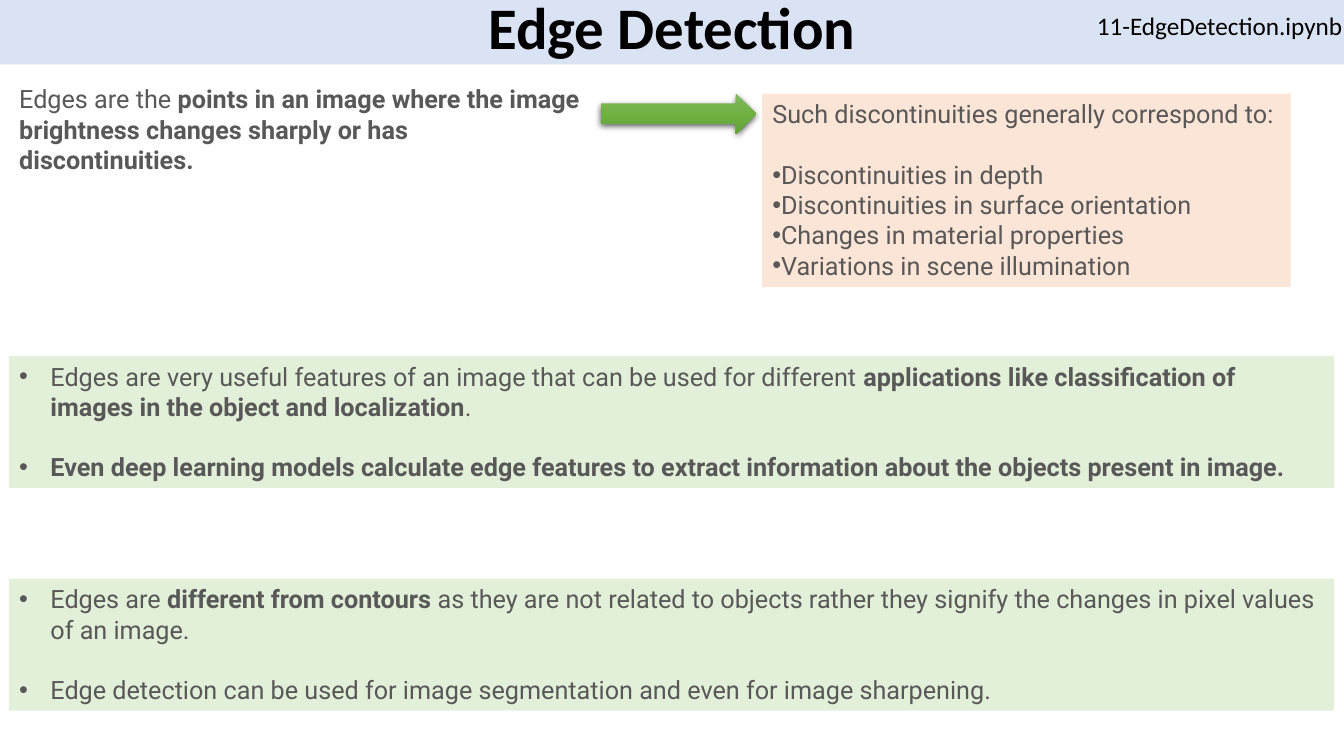
import copy
from dataclasses import dataclass

import lxml.etree
import pptx
import pptx.dml.color
import pptx.enum.shapes
import pptx.enum.text
import pptx.oxml.ns
import pptx.shapes.base
import pptx.slide
import pptx.util

RGBColor = pptx.dml.color.RGBColor
Inches = pptx.util.Inches
Pt = pptx.util.Pt
qn = pptx.oxml.ns.qn
Anchor = pptx.enum.text.MSO_ANCHOR
Align = pptx.enum.text.PP_ALIGN
Shape = pptx.shapes.base.BaseShape

BLACK = RGBColor(0x00, 0x00, 0x00)
GRAY = RGBColor(0x59, 0x58, 0x58)
BLUE = RGBColor(0xDA, 0xE3, 0xF3)
PEACH = RGBColor(0xFB, 0xE5, 0xD6)
GREEN = RGBColor(0xE2, 0xF0, 0xD9)
SHADES = (
    RGBColor(0x81, 0xB8, 0x61),
    RGBColor(0x6F, 0xB2, 0x42),
    RGBColor(0x62, 0xA3, 0x36),
)
GAP = 21.6  # one line of body text, in points


@dataclass
class Para:
    text: str  # **marks** enclose bold words
    bullet: bool = True
    before: float = 0


@dataclass
class Panel:
    slot: int  # placeholder index in the layout
    box: tuple[float, float, float, float]
    paras: list[Para]
    fill: RGBColor | None = None
    indent: float = 0


PANELS = [
    Panel(1, (0.09, 0.78, 5.8, 0.71), [
        Para("Edges are the **points in an image where the image brightness "
             "changes sharply or has discontinuities.**", bullet=False),
    ]),
    Panel(2, (7.56, 0.93, 5.24, 1.92), [
        Para("Such discontinuities generally correspond to:", bullet=False),
        Para("Discontinuities in depth", before=GAP),
        Para("Discontinuities in surface orientation"),
        Para("Changes in material properties"),
        Para("Variations in scene illumination"),
    ], PEACH),
    Panel(3, (0.09, 3.53, 13.14, 1.31), [
        Para("Edges are very useful features of an image that can be used for "
             "different **applications like classification of images in the "
             "object and localization**."),
        Para("**Even deep learning models calculate edge features to extract "
             "information about the objects present in image.**", before=GAP),
    ], GREEN, 0.31),
    Panel(4, (0.09, 5.74, 13.14, 1.31), [
        Para("Edges are **different from contours **as they are not related to "
             "objects rather they signify the changes in pixel values of an "
             "image."),
        Para("Edge detection can be used for image segmentation and even for "
             "image sharpening.", before=GAP),
    ], GREEN, 0.31),
]


def place(shape: Shape, box: tuple[float, float, float, float]) -> None:
    shape.left, shape.top, shape.width, shape.height = map(Inches, box)


def write(shape: Shape, paras: list[Para], *, size: float = 18,
          font: str = "Roboto", color: RGBColor = GRAY, bold: bool = False,
          align: Align = Align.LEFT, anchor: Anchor = Anchor.TOP,
          lead: float = 1.0, indent: float = 0, wrap: bool = True) -> None:
    frame = shape.text_frame
    frame.auto_size = pptx.enum.text.MSO_AUTO_SIZE.NONE
    frame.word_wrap = wrap
    frame.vertical_anchor = anchor
    for num, item in enumerate(paras):
        para = frame.add_paragraph() if num else frame.paragraphs[0]
        props = para._p.get_or_add_pPr()
        step = Inches(indent) if item.bullet else 0
        props.set("marL", str(step))
        props.set("indent", str(-step))
        if item.bullet:
            mark = lxml.etree.SubElement(props, qn("a:buChar"))
            mark.set("char", "•")
        else:
            lxml.etree.SubElement(props, qn("a:buNone"))
        para.alignment = align
        para.line_spacing = lead
        para.space_before = Pt(item.before)
        para.space_after = Pt(0)
        for part, words in enumerate(item.text.split("**")):
            if words:
                run = para.add_run()
                run.text = words
                run.font.name = font
                run.font.size = Pt(size)
                run.font.bold = bold or part % 2 == 1
                run.font.color.rgb = color


def paint(shape: Shape, color: RGBColor) -> None:
    shape.fill.solid()
    shape.fill.fore_color.rgb = color


def add_arrow(slide: pptx.slide.Slide) -> None:
    kind = pptx.enum.shapes.MSO_SHAPE.RIGHT_ARROW
    arrow = slide.shapes.add_shape(
        kind, *map(Inches, (5.96, 0.93, 1.54, 0.4)))
    arrow.line.fill.background()
    arrow.fill.gradient()
    arrow.fill.gradient_angle = 270
    props = arrow._element.spPr
    stops = props.find(".//" + qn("a:gsLst"))
    stops.insert(1, copy.deepcopy(stops[0]))
    for num, (stop, shade) in enumerate(zip(arrow.fill.gradient_stops, SHADES)):
        stop.position = num / 2
        stop.color.rgb = shade

    # Soft shadow below the arrow
    arrow.shadow.inherit = False
    glow = lxml.etree.SubElement(
        props.find(qn("a:effectLst")), qn("a:outerShdw"),
        blurRad=str(Pt(4.5)), dist=str(Pt(1.5)), dir="5400000",
        algn="ctr", rotWithShape="0")
    tint = lxml.etree.SubElement(glow, qn("a:srgbClr"), val="000000")
    lxml.etree.SubElement(tint, qn("a:alpha"), val="63000")


def main() -> None:
    deck = pptx.Presentation()
    deck.slide_width = Inches(13.33)
    deck.slide_height = Inches(7.5)
    slide = deck.slides.add_slide(deck.slide_layouts.get_by_name("Comparison"))

    # Title band
    title = slide.shapes.title
    place(title, (0, 0, 13.33, 0.64))
    paint(title, BLUE)
    write(title, [Para("Edge Detection", bullet=False)], size=42,
          font="Calibri", color=BLACK, bold=True, align=Align.CENTER,
          anchor=Anchor.BOTTOM, lead=0.7)

    # Text panels
    slots = {holder.placeholder_format.idx: holder
             for holder in slide.placeholders}
    for panel in PANELS:
        body = slots[panel.slot]
        place(body, panel.box)
        if panel.fill is not None:
            paint(body, panel.fill)
        write(body, panel.paras, indent=panel.indent)

    # Arrow from the definition to its causes
    add_arrow(slide)

    # Notebook name
    label = slide.shapes.add_textbox(*map(Inches, (10.78, 0.05, 2.67, 0.4)))
    write(label, [Para("11-EdgeDetection.ipynb", bullet=False)],
          font="Calibri", color=BLACK, wrap=False)

    deck.save("out.pptx")


if __name__ == "__main__":
    main()
